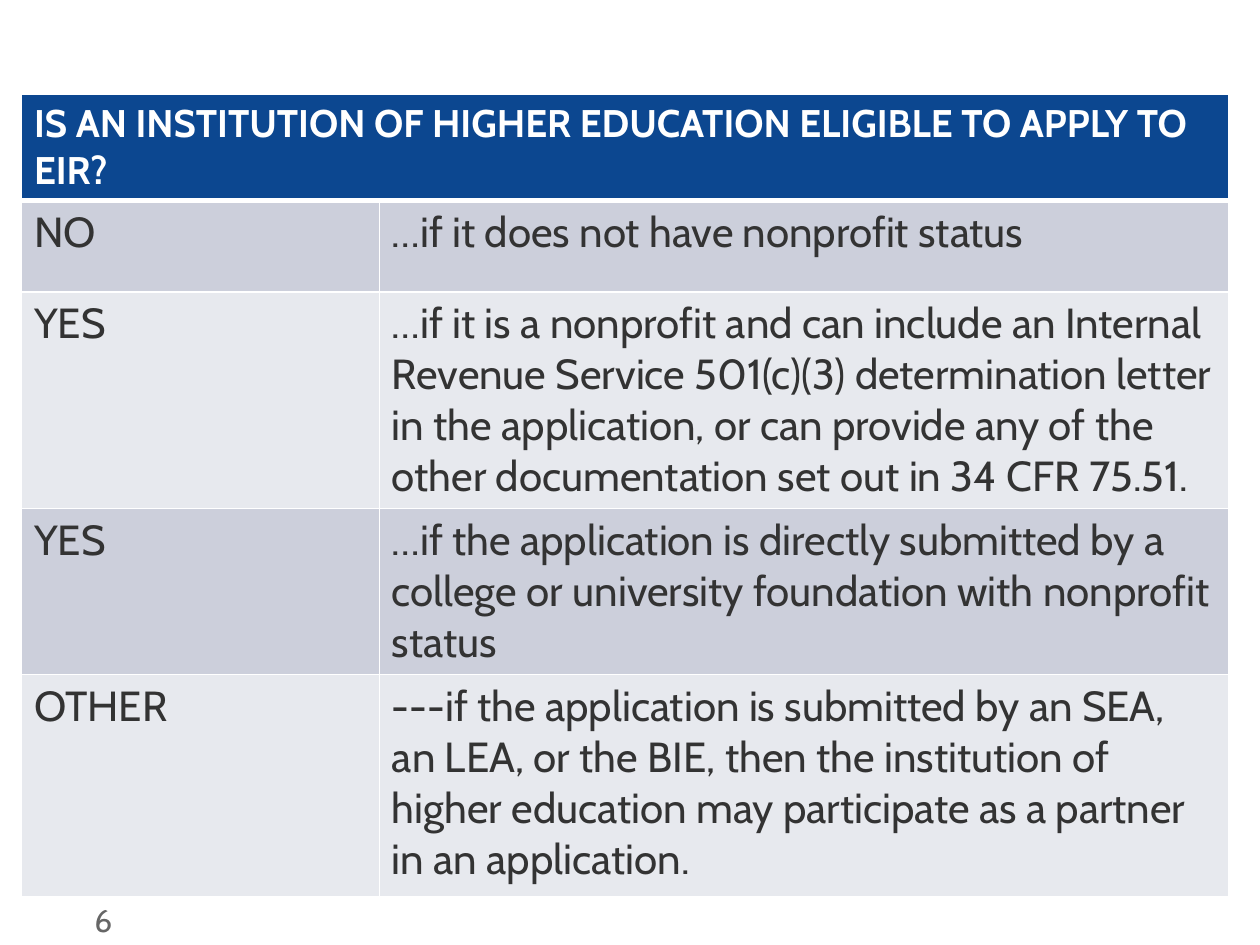
from lxml import etree
from pptx import Presentation
from pptx.dml.color import RGBColor
from pptx.enum.text import MSO_ANCHOR
from pptx.oxml.ns import qn
from pptx.util import Pt

MIDDLE = MSO_ANCHOR.MIDDLE
FONT = "Cabin"
COLORS = {
    "header": "0C4790",
    "dark band": "CCCFDB",
    "light band": "E7E9EE",
    "white": "FFFFFF",
    "answer": "333333",
    "page number": "666666",
}

QUESTION = "IS AN INSTITUTION OF HIGHER EDUCATION ELIGIBLE TO APPLY TO EIR?"
ANSWERS = [
    ("NO", "…if it does not have nonprofit status"),
    ("YES", "…if it is a nonprofit and can include an Internal Revenue Service "
            "501(c)(3) determination letter in the application, or can provide "
            "any of the other documentation set out in 34 CFR 75.51."),
    ("YES", "…if the application is directly submitted by a college or "
            "university foundation with nonprofit status"),
    ("OTHER", "---if the application is submitted by an SEA, an LEA, or the BIE, "
              "then the institution of higher education may participate as a "
              "partner in an application."),
]
PAGE_NUMBER = "6"

TABLE_LEFT, TABLE_TOP = 12.24, 54
COLUMN_WIDTHS = [204.5, 485.3]
ROW_HEIGHTS = [52, 52, 89, 89, 127]


def color(name):
    return RGBColor.from_string(COLORS[name])


def add_text(frame, text, size, color_name, bold=False):
    run = frame.paragraphs[0].add_run()
    run.text = text
    run.font.name = FONT
    run.font.size = Pt(size)
    run.font.bold = bold
    run.font.color.rgb = color(color_name)


def style_cell(cell, fill_name, top=1, bottom=1):
    cell.fill.solid()
    cell.fill.fore_color.rgb = color(fill_name)
    props = cell._tc.get_or_add_tcPr()
    sides = [("a:lnL", 1), ("a:lnR", 1), ("a:lnT", top), ("a:lnB", bottom)]
    for position, (side, width) in enumerate(sides):
        line = etree.Element(qn(side), w=str(Pt(width)))
        fill = etree.SubElement(line, qn("a:solidFill"))
        etree.SubElement(fill, qn("a:srgbClr"), val=COLORS["white"])
        props.insert(position, line)


prs = Presentation()
prs.slide_width, prs.slide_height = Pt(720), Pt(540)
slide = prs.slides.add_slide(prs.slide_layouts[6])

# Eligibility table
eligibility = slide.shapes.add_table(
    len(ROW_HEIGHTS), len(COLUMN_WIDTHS), Pt(TABLE_LEFT), Pt(TABLE_TOP),
    Pt(sum(COLUMN_WIDTHS)), Pt(sum(ROW_HEIGHTS))).table
for column, width in zip(eligibility.columns, COLUMN_WIDTHS):
    column.width = Pt(width)
for row, height in zip(eligibility.rows, ROW_HEIGHTS):
    row.height = Pt(height)

# Question across both columns
question = eligibility.cell(0, 0)
question.merge(eligibility.cell(0, 1))
add_text(question.text_frame, QUESTION, 22, "white", bold=True)
for cell in eligibility.rows[0].cells:
    style_cell(cell, "header", bottom=3)

# Answers in alternating bands
for number, answer in enumerate(ANSWERS, start=1):
    band = "dark band" if number % 2 else "light band"
    for column, text in enumerate(answer):
        cell = eligibility.cell(number, column)
        add_text(cell.text_frame, text, 24, "answer")
        style_cell(cell, band, top=3 if number == 1 else 1)

# Page number
page_frame = slide.shapes.add_textbox(Pt(54), Pt(511.2), Pt(42), Pt(28.8)).text_frame
page_frame.word_wrap = True
page_frame.margin_left = page_frame.margin_right = 0
page_frame.vertical_anchor = MIDDLE
add_text(page_frame, PAGE_NUMBER, 18, "page number")

prs.save("out.pptx")
